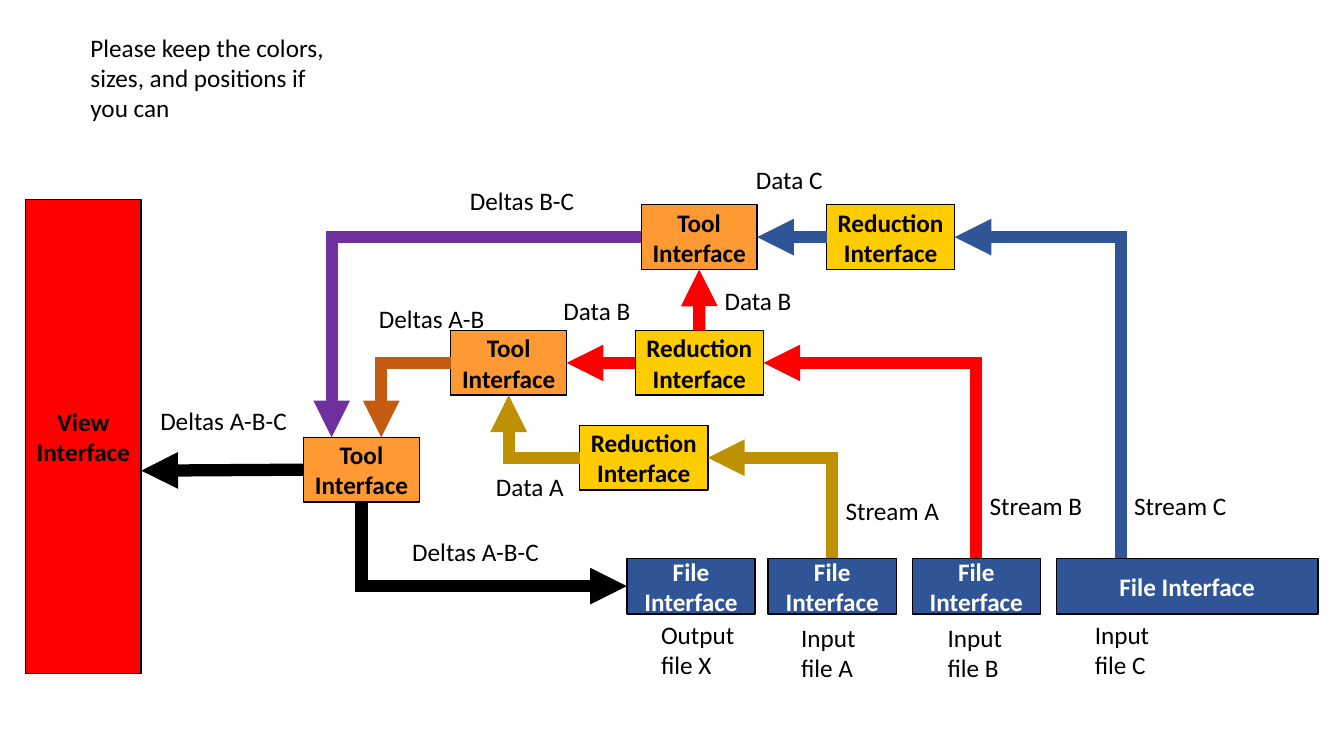
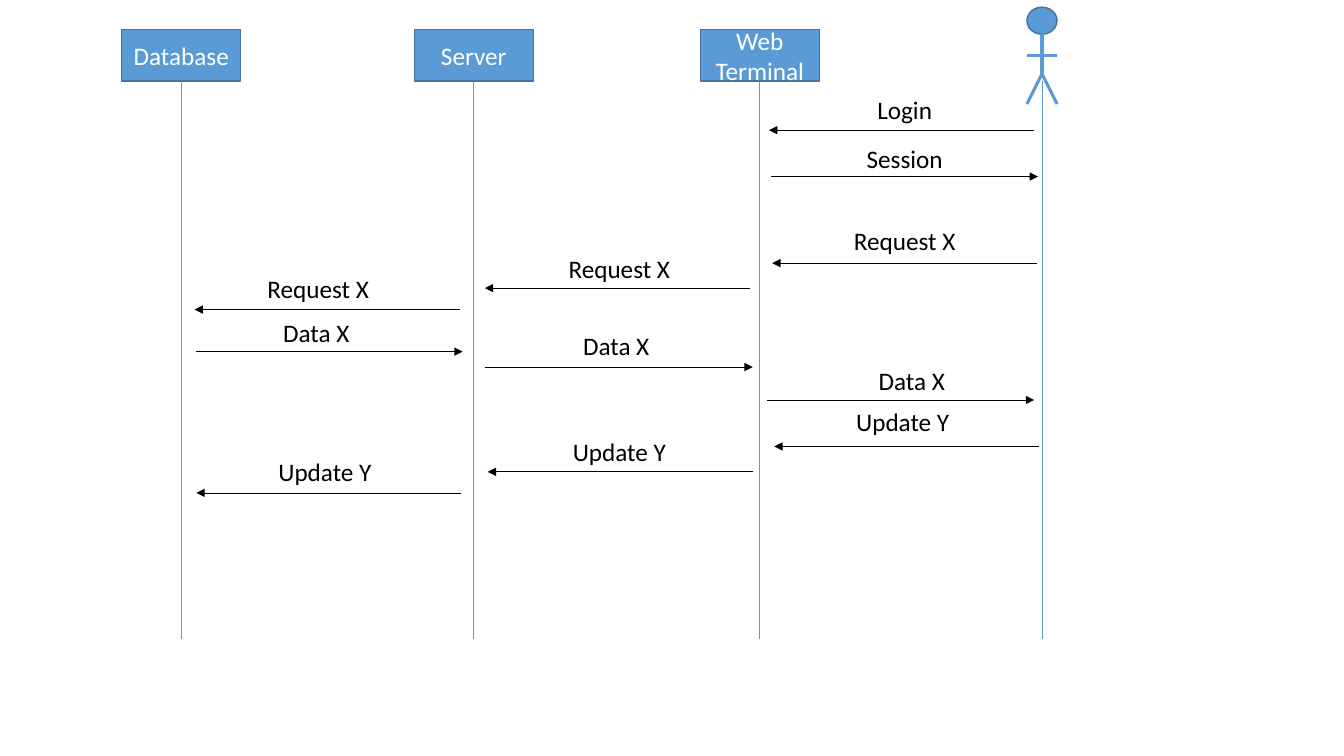
from lxml.etree import SubElement
from pptx import Presentation
from pptx.dml.color import RGBColor
from pptx.enum.shapes import MSO_CONNECTOR, MSO_SHAPE
from pptx.enum.text import MSO_ANCHOR, MSO_AUTO_SIZE, PP_ALIGN
from pptx.oxml.ns import qn
from pptx.util import Cm, Pt

FONT = "Calibri"
BLACK = RGBColor(0x00, 0x00, 0x00)
WHITE = RGBColor(0xFF, 0xFF, 0xFF)
RED = RGBColor(0xFF, 0x00, 0x00)
ORANGE = RGBColor(0xFF, 0x99, 0x33)
YELLOW = RGBColor(0xFF, 0xCC, 0x00)
NAVY = RGBColor(0x2F, 0x55, 0x97)
GOLD = RGBColor(0xBF, 0x90, 0x00)
BROWN = RGBColor(0xC5, 0x5A, 0x11)
PURPLE = RGBColor(0x70, 0x30, 0xA0)
BLUE = RGBColor(0x5B, 0x9B, 0xD5)
BLUE_EDGE = RGBColor(0x43, 0x73, 0x9E)

TOP, LEFT, BOTTOM, RIGHT = range(4)  # connection sites of a rectangle
STRAIGHT, ACROSS_FIRST, UPRIGHT_FIRST = range(3)  # routes of a line
FLOW_WIDTH = 8.75

TOOL_SIZE = (2.92, 1.63)
REDUCTION_SIZE = (3.23, 1.63)
FILE_TOP, FILE_WIDTH, FILE_HEIGHT = 10.06, 3.23, 1.4

FLOW_LABELS = [  # text, left, top, width, height
    ("Input file B", 22.99, 11.54, 1.96, 1.8),
    ("Input file A", 19.3, 11.54, 1.96, 1.8),
    ("Input file C", 26.7, 11.46, 1.96, 1.8),
    ("Output file X", 15.77, 11.46, 2.36, 1.8),
    ("Data C", 18.16, 0, 2.36, 1.02),
    ("Data B", 17.37, 3.05, 2.36, 1.02),
    ("Data B", 13.31, 3.31, 2.36, 1.02),
    ("Data A", 11.61, 7.73, 2.36, 1.02),
    ("Deltas B-C", 10.95, 0.54, 3.71, 1.02),
    ("Deltas A-B", 8.66, 3.51, 3.71, 1.02),
    ("Deltas A-B-C", 9.5, 9.38, 4.06, 1.02),
    ("Deltas A-B-C", 3.15, 6.07, 4.06, 1.02),
    ("Stream A", 20.42, 8.34, 3.07, 1.02),
    ("Stream B", 24.05, 8.21, 3.07, 1.02),
    ("Stream C", 27.69, 8.21, 3.07, 1.02),
]

PARTICIPANTS = [("Database", 1.5), ("Server", 8.87), ("Web Terminal", 16.08)]
USER_CENTRE = 23.19
MESSAGES = [  # text, label left, label top, arrow start, arrow end, arrow height
    ("Login", 18.14, 2.06, 22.99, 16.31, 3.1),
    ("Session", 18.14, 3.3, 16.36, 23.09, 4.27),
    ("Request X", 18.14, 5.38, 23.07, 16.39, 6.45),
    ("Request X", 10.95, 6.09, 15.83, 9.15, 7.08),
    ("Request X", 3.36, 6.58, 8.51, 1.83, 7.62),
    ("Data X", 3.31, 7.69, 1.86, 8.59, 8.68),
    ("Data X", 10.87, 8.02, 9.15, 15.9, 9.07),
    ("Data X", 18.32, 8.91, 16.26, 22.99, 9.9),
    ("Update Y", 18.09, 9.93, 23.12, 16.44, 11.07),
    ("Update Y", 10.95, 10.69, 15.9, 9.22, 11.71),
    ("Update Y", 3.53, 11.2, 8.56, 1.88, 12.24),
]


def write(shape, text, color, align, bold=False):
    frame = shape.text_frame
    frame.word_wrap = True
    frame.text = text
    for paragraph in frame.paragraphs:
        paragraph.alignment = align
        for run in paragraph.runs:
            run.font.name = FONT
            run.font.size = Pt(18)
            run.font.bold = bold
            run.font.color.rgb = color


def add_block(shapes, preset, box, fill, edge):
    block = shapes.add_shape(preset, *map(Cm, box))
    block.shadow.inherit = False
    block.fill.solid()
    block.fill.fore_color.rgb = fill
    block.line.color.rgb = edge
    block.line.width = Pt(1)
    return block


def add_box(shapes, text, box, fill, edge, color, bold):
    block = add_block(shapes, MSO_SHAPE.RECTANGLE, box, fill, edge)
    write(block, text, color, PP_ALIGN.CENTER, bold)
    block.text_frame.vertical_anchor = MSO_ANCHOR.MIDDLE
    return block


def add_label(shapes, text, box, align=PP_ALIGN.LEFT):
    label = shapes.add_textbox(*map(Cm, box))
    write(label, text, BLACK, align)
    label.text_frame.auto_size = MSO_AUTO_SIZE.SHAPE_TO_FIT_TEXT


def add_line(shapes, start, end, color, width, arrow=False, route=STRAIGHT):
    """Join two ends, each a point in cm or a (block, site) pair.

    A bent connector runs across first, so a route that begins upright
    is laid from its far end and carries its arrowhead there.
    """
    backward = route == UPRIGHT_FIRST
    if backward:
        start, end = end, start
    points = [(0, 0) if hasattr(stop[0], "shape_id") else stop
              for stop in (start, end)]
    kind = MSO_CONNECTOR.STRAIGHT if route == STRAIGHT else MSO_CONNECTOR.ELBOW
    line = shapes.add_connector(
        kind, *(Cm(value) for point in points for value in point))
    for stop, connect in ((start, line.begin_connect), (end, line.end_connect)):
        if hasattr(stop[0], "shape_id"):
            connect(*stop)
    line.line.color.rgb = color
    line.line.width = Pt(width)
    properties = line._element.spPr
    if route != STRAIGHT:
        properties.find(qn("a:prstGeom")).set("prst", "bentConnector2")
    stroke = properties.find(qn("a:ln"))
    SubElement(stroke, qn("a:miter"), lim="800000")
    if arrow:
        SubElement(stroke, qn("a:headEnd" if backward else "a:tailEnd"),
                   type="triangle")
    SubElement(properties, qn("a:effectLst"))


def add_data_flow(shapes, left, top):
    def block(text, x, y, size, fill, color=BLACK):
        return add_box(shapes, text, (left + x, top + y, *size),
                       fill, BLACK, color, True)

    def tool(x, y):
        return block("Tool\nInterface", x, y, TOOL_SIZE, ORANGE)

    def reduction(x, y):
        return block("Reduction\nInterface", x, y, REDUCTION_SIZE, YELLOW)

    def file(x, width=FILE_WIDTH):
        return block("File Interface", x, FILE_TOP, (width, FILE_HEIGHT),
                     NAVY, WHITE)

    def flow(start, end, color, route=STRAIGHT):
        add_line(shapes, start, end, color, FLOW_WIDTH, True, route)

    block("View Interface", 0, 1.02, (2.92, 11.94), RED)
    tool_abc, tool_ab, tool_bc = tool(7.01, 7.01), tool(10.72, 4.32), tool(15.52, 1.15)
    reduction_a = reduction(13.97, 6.71)
    reduction_b = reduction(15.37, 4.32)
    reduction_c = reduction(20.19, 1.15)
    file_x, file_a, file_b = file(15.16), file(18.72), file(22.35)
    file(25.98, 6.6)

    flow((left + 27.61, top + FILE_TOP), (reduction_c, RIGHT), NAVY, UPRIGHT_FIRST)
    flow((file_b, TOP), (reduction_b, RIGHT), RED, UPRIGHT_FIRST)
    flow((file_a, TOP), (reduction_a, RIGHT), GOLD, UPRIGHT_FIRST)
    flow((reduction_a, LEFT), (tool_ab, BOTTOM), GOLD, ACROSS_FIRST)
    flow((reduction_c, LEFT), (tool_bc, RIGHT), NAVY)
    flow((reduction_b, LEFT), (tool_ab, RIGHT), RED)
    flow((reduction_b, TOP), (tool_bc, BOTTOM), RED)
    flow((tool_ab, LEFT), (left + 8.97, top + 7.01), BROWN, ACROSS_FIRST)
    flow((tool_bc, LEFT), (left + 7.72, top + 7.01), PURPLE, ACROSS_FIRST)
    flow((tool_abc, LEFT), (left + 2.92, top + 7.85), BLACK)
    flow((tool_abc, BOTTOM), (file_x, LEFT), BLACK, UPRIGHT_FIRST)

    for text, x, y, width, height in FLOW_LABELS:
        add_label(shapes, text, (left + x, top + y, width, height))


def add_user(shapes, left, top, width, height):
    """Draw a stick figure that fills the given box."""
    figure = shapes.add_group_shape().shapes
    middle, right = left + width / 2, left + width
    neck, arms, hips = (top + height * part for part in (0.28, 0.5, 0.69))
    add_block(figure, MSO_SHAPE.OVAL, (left, top, width, neck - top),
              BLUE, BLUE_EDGE)
    for start, end in (
        ((middle, neck), (middle, hips)),
        ((middle, hips), (left, top + height)),
        ((middle, hips), (right, top + height)),
        ((right, arms), (left, arms)),
    ):
        add_line(figure, start, end, BLUE, 2.25)


def add_sequence(shapes, left, top):
    life_top, life_bottom = top + 1.86, top + 15.92
    for name, centre in PARTICIPANTS:
        participant = add_box(shapes, name, (left + centre - 1.5, top + 0.56, 3, 1.3),
                              BLUE, BLUE_EDGE, WHITE, False)
        add_line(shapes, (participant, BOTTOM), (left + centre, life_bottom),
                 BLUE, 0.5)
    user = left + USER_CENTRE
    add_user(shapes, user - 0.38, top, 0.76, 2.44)
    add_line(shapes, (user, life_top), (user, life_bottom), BLUE, 0.5)

    for text, x, y, start, end, height in MESSAGES:
        add_line(shapes, (left + start, top + height), (left + end, top + height),
                 BLACK, 0.5, True)
        add_label(shapes, text, (left + x, top + y, 3.18, 1.02), PP_ALIGN.CENTER)


def main():
    deck = Presentation()
    deck.slide_width, deck.slide_height = Cm(33.87), Cm(19.05)
    blank = deck.slide_layouts[6]

    flow_shapes = deck.slides.add_slide(blank).shapes
    add_data_flow(flow_shapes, 0.64, 4.01)
    add_label(flow_shapes, "Please keep the colors, sizes, and positions if you can",
              (2.03, 0.69, 6.53, 2.57))

    add_sequence(deck.slides.add_slide(blank).shapes, 3.07, 0.18)
    deck.save("out.pptx")


if __name__ == "__main__":
    main()
